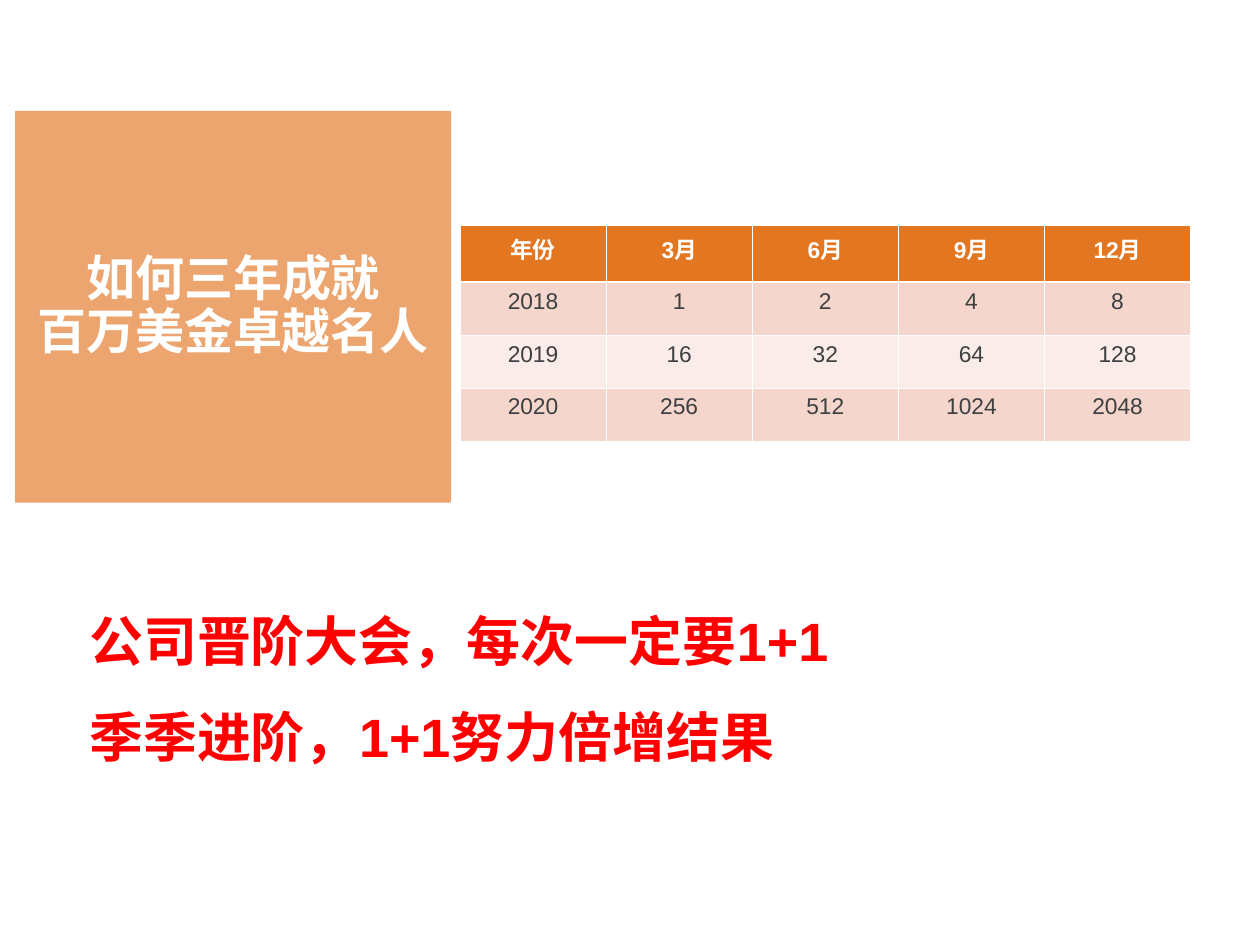
from lxml.etree import SubElement as Sub
from pptx import Presentation
from pptx.dml.color import RGBColor
from pptx.enum.text import MSO_ANCHOR as Anchor, PP_ALIGN as Align
from pptx.oxml.ns import qn
from pptx.util import Inches, Pt

WHITE, ORANGE, RED, GREY = "FFFFFF", "E37621", "FF0000", "3D3F41"
BANDS = ("F4D6CC", "FAECE8")
ROWS = [
    ("年份", "3月", "6月", "9月", "12月"),
    ("2018", "1", "2", "4", "8"),
    ("2019", "16", "32", "64", "128"),
    ("2020", "256", "512", "1024", "2048"),
]
LINES = ("公司晋阶大会，每次一定要1+1", "季季进阶，1+1努力倍增结果")


def paint(fill, color):
    fill.solid()
    fill.fore_color.rgb = RGBColor.from_string(color)


def style(para, size, color, bold=True, **form):
    """Format a paragraph and all of its runs."""
    for name, value in form.items():
        setattr(para, name, value)
    for run in para.runs:
        for name, value in dict(name="Arial", size=Pt(size), bold=bold).items():
            setattr(run.font, name, value)
        run.font.color.rgb = RGBColor.from_string(color)


def place(shape, *box):
    for name, value in zip(("left", "top", "width", "height"), box):
        setattr(shape, name, Inches(value))


def edge(cell, sides):
    """Draw white borders; sides maps a tag to a width in points."""
    props = cell._tc.get_or_add_tcPr()
    for tag, width in sides.items():
        line = Sub(props, qn(f"a:{tag}"), w=str(Pt(width)))
        Sub(Sub(line, qn("a:solidFill")), qn("a:srgbClr"), val=WHITE)


def add_title(slide):
    title = slide.shapes.title
    place(title, 0.12, 0.88, 3.46, 3.11)
    paint(title.fill, ORANGE)
    tint = title.fill._xPr.find(".//" + qn("a:srgbClr"))
    Sub(tint, qn("a:alpha"), val="65000")
    frame = title.text_frame
    frame.text = "如何三年成就\v百万美金卓越名人"
    frame.vertical_anchor = Anchor.MIDDLE
    style(frame.paragraphs[0], 28, WHITE, alignment=Align.CENTER, line_spacing=0.9)


def add_grid(slide):
    box = [Inches(v) for v in (3.65, 1.79, 5.8, 1.71)]
    table = slide.shapes.add_table(len(ROWS), len(ROWS[0]), *box).table
    for col in table.columns:
        col.width = Inches(1.16)
    for i, texts in enumerate(ROWS):
        head = i == 0
        table.rows[i].height = Inches(0.45 if head else 0.42)
        for j, text in enumerate(texts):
            cell = table.cell(i, j)
            cell.text = text
            edge(cell, dict(lnL=0.45, lnR=0.45, lnT=1.47 if i == 1 else 0.45,
                            lnB=1.47 if head else 0.45))
            paint(cell.fill, ORANGE if head else BANDS[(i - 1) % 2])
            style(cell.text_frame.paragraphs[0], 13, WHITE if head else GREY,
                  head, alignment=Align.CENTER)


def add_slogan(slide):
    box = [Inches(v) for v in (0.61, 4.67, 8.77, 1.47)]
    frame = slide.shapes.add_textbox(*box).text_frame
    frame.word_wrap = True
    frame.text = "\n".join(LINES)
    for para in frame.paragraphs:
        style(para, 30.8, RED, line_spacing=1.2, space_before=Pt(10.7))


def main():
    deck = Presentation()
    deck.slide_width, deck.slide_height = Inches(10), Inches(7.5)
    slide = deck.slides.add_slide(deck.slide_layouts[5])
    paint(slide.background.fill, WHITE)
    # Heading block, growth table, closing slogan
    add_title(slide)
    add_grid(slide)
    add_slogan(slide)
    deck.save("out.pptx")


if __name__ == "__main__":
    main()
